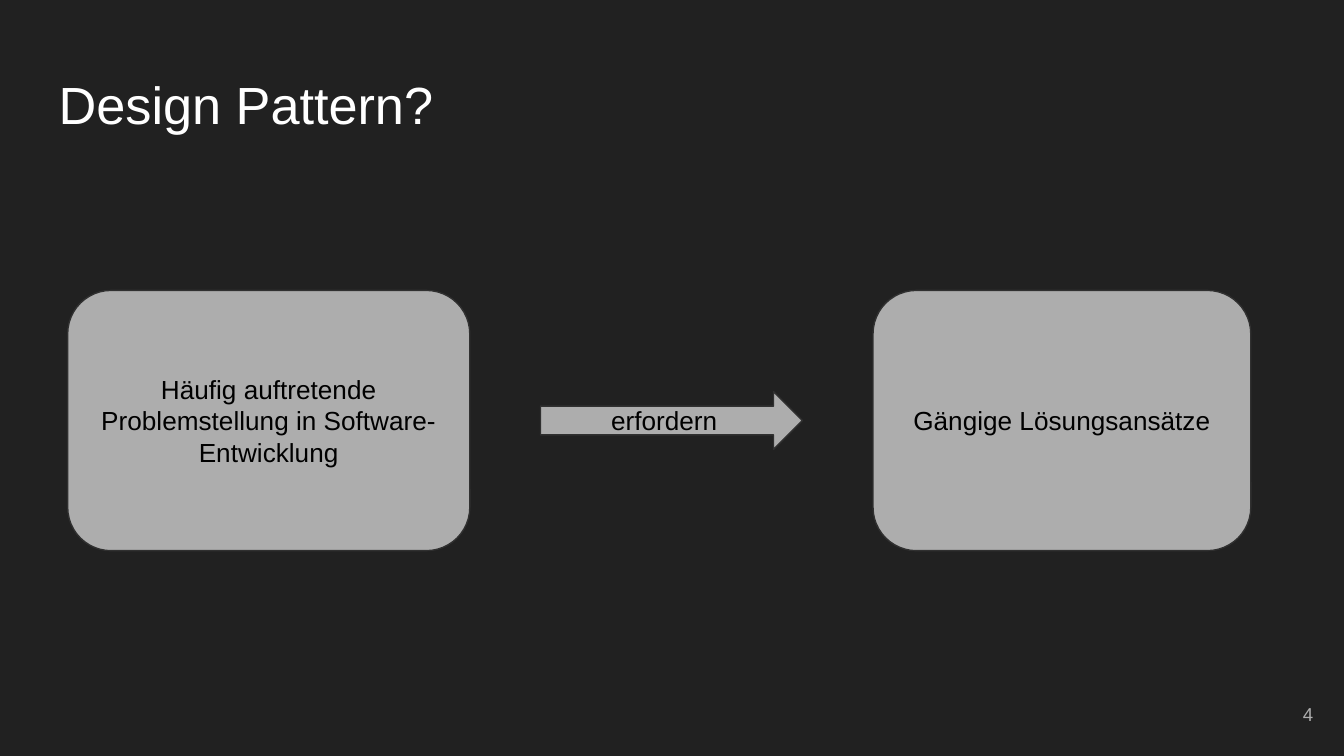
from pptx import Presentation
from pptx.dml.color import RGBColor
from pptx.enum.shapes import MSO_SHAPE
from pptx.enum.text import MSO_ANCHOR, PP_ALIGN
from pptx.util import Cm, Pt

ROUND, ARROW = MSO_SHAPE.ROUNDED_RECTANGLE, MSO_SHAPE.RIGHT_ARROW
TOP, MIDDLE = MSO_ANCHOR.TOP, MSO_ANCHOR.MIDDLE
LEFT, CENTER, RIGHT = PP_ALIGN.LEFT, PP_ALIGN.CENTER, PP_ALIGN.RIGHT

DARK = RGBColor(0x21, 0x21, 0x21)
EDGE = RGBColor(0x30, 0x30, 0x30)
GREY = RGBColor(0xAD, 0xAD, 0xAD)
WHITE = RGBColor(0xFF, 0xFF, 0xFF)
BLACK = RGBColor(0x00, 0x00, 0x00)

FONT = "Arial"
INSET = Cm(0.25)


def write(shape, text, size, color, align, anchor=MIDDLE):
    frame = shape.text_frame
    frame.word_wrap = True
    frame.vertical_anchor = anchor
    frame.margin_left = frame.margin_right = INSET
    frame.margin_top = frame.margin_bottom = INSET
    para = frame.paragraphs[0]
    para.text = text
    para.alignment = align
    font = para.font
    font.name, font.size, font.color.rgb = FONT, Pt(size), color
    return para


def add_title(slide, box, text):
    title = slide.shapes.title
    title.left, title.top, title.width, title.height = map(Cm, box)
    para = write(title, text, 28, WHITE, LEFT, TOP)
    para.line_spacing = 0.9


def add_node(slide, kind, box, text):
    node = slide.shapes.add_shape(kind, *map(Cm, box))
    node.shadow.inherit = False
    node.fill.solid()
    node.fill.fore_color.rgb = GREY
    node.line.color.rgb = EDGE
    node.line.width = Pt(0.75)
    write(node, text, 14, BLACK, CENTER)


def add_flow(slide, box):
    """Problem and answer at the box's ends, with an arrow between them."""
    left, top, width, height = box
    first, last, link, thick = 7.6, 7.14, 4.95, 1.09
    gap = (width - first - last - link) / 2

    add_node(slide, ROUND, (left, top, first, height),
             "Häufig auftretende Problemstellung in Software-Entwicklung")
    add_node(slide, ROUND, (left + width - last, top, last, height),
             "Gängige Lösungsansätze")
    add_node(slide, ARROW,
             (left + first + gap, top + (height - thick) / 2, link, thick),
             "erfordern")


def add_number(slide, box, text):
    number = slide.shapes.add_textbox(*map(Cm, box))
    write(number, text, 10, GREY, RIGHT)


def main():
    deck = Presentation()
    deck.slide_width, deck.slide_height = Cm(25.4), Cm(14.29)

    # Dark slide with a title only
    slide = deck.slides.add_slide(deck.slide_layouts[5])
    slide.background.fill.solid()
    slide.background.fill.fore_color.rgb = DARK

    # Regions
    add_title(slide, (0.86, 1.24, 23.67, 1.6), "Design Pattern?")
    add_flow(slide, (1.28, 5.49, 22.36, 4.92))
    add_number(slide, (23.54, 12.96, 1.53, 1.09), "4")

    deck.save("out.pptx")


if __name__ == "__main__":
    main()
